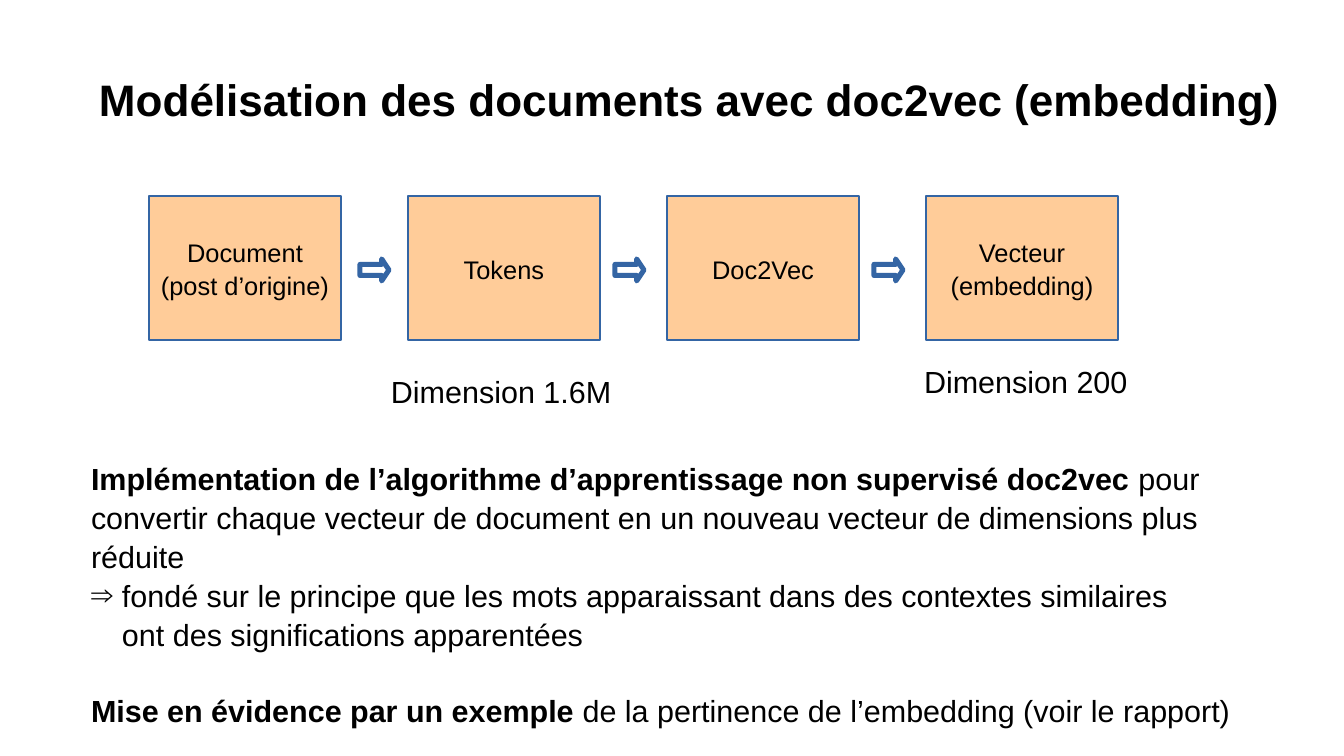
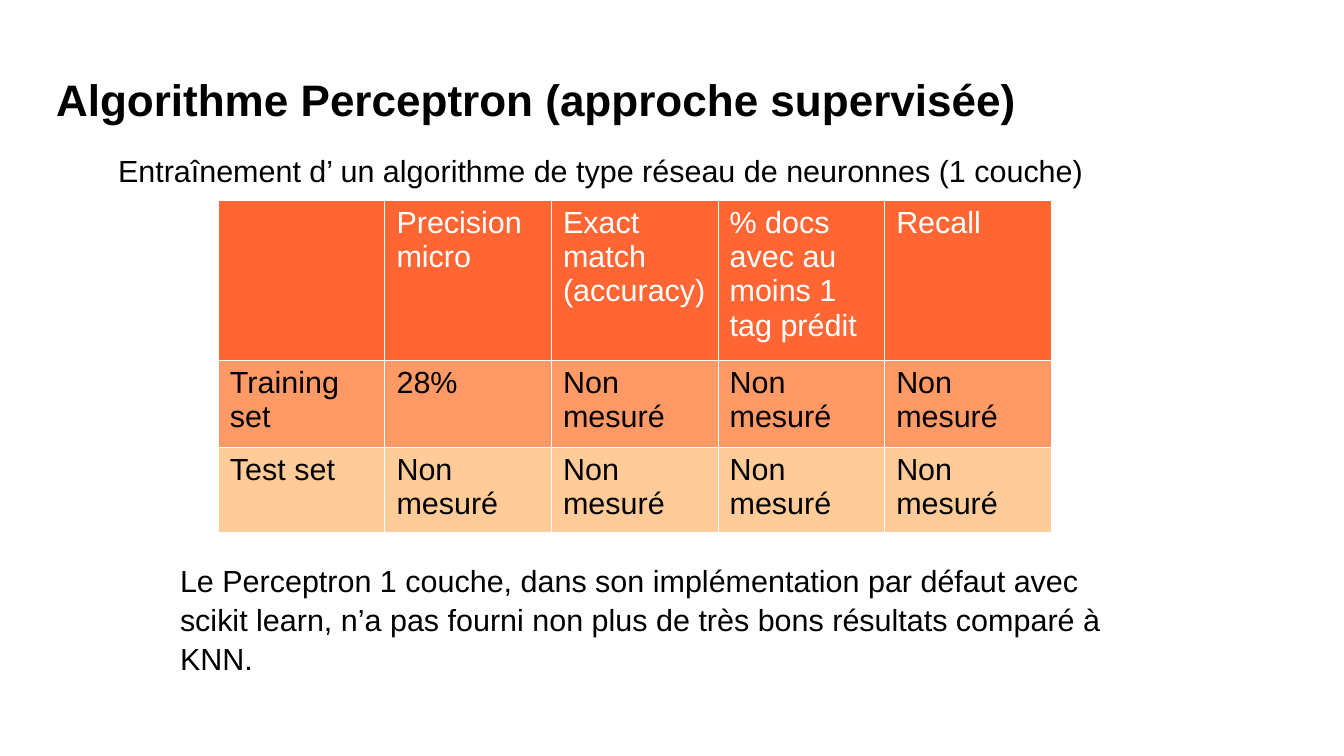
from lxml.etree import SubElement
from pptx import Presentation
from pptx.dml.color import RGBColor
from pptx.enum.shapes import MSO_SHAPE as Preset
from pptx.enum.text import MSO_ANCHOR as Anchor, MSO_AUTO_SIZE as AutoSize, PP_ALIGN as Align
from pptx.oxml.ns import qn
from pptx.util import Emu, Pt

SCALE = 914400 / 122
INK, PAPER, BLUE, PEACH = "000000", "FFFFFF", "3465A4", "FFCC99"

TITLE_TOP, TITLE_HEIGHT = 63, 61
TITLE_FORMAT = {"size": 26, "bold": True}
BODY_FORMAT = {"size": 18}
STEP_FORMAT = {"size": 15}
LEADING = 1.07

EMBEDDING_TITLE = ("Modélisation des documents avec doc2vec (embedding)", 87, 1208)
STEPS = [["Document", "(post d’origine)"], ["Tokens"], ["Doc2Vec"], ["Vecteur", "(embedding)"]]
STEP_LEFT, STEP_TOP, STEP_WIDTH, STEP_HEIGHT, STEP_PITCH = 149, 196, 192, 144, 259
ARROW_LEFTS = [360, 615, 874]
ARROW_WIDTH, ARROW_HEIGHT = 29, 22
DIMENSIONS = [
    ("Dimension 1.6M", (379, 365, 244, 46)),
    ("Dimension 200", (912, 355, 228, 46)),
]
EXPLANATION = [
    {"runs": [("Implémentation de l’algorithme d’apprentissage non supervisé doc2vec ", True),
              ("pour convertir chaque vecteur de document en un nouveau vecteur "
               "de dimensions plus réduite", False)]},
    {"runs": [("fondé sur le principe que les mots apparaissant dans des contextes similaires", False)],
     "indent": 31, "bullet": "⇒"},
    {"runs": [("ont des significations apparentées", False)], "indent": 31},
    {"runs": [("Mise en évidence par un exemple", True),
              (" de la pertinence de l’embedding (voir le rapport)", False)], "before": 21.5},
]
EXPLANATION_AREA = (79, 451, 1194, 268)

PERCEPTRON_TITLE = ("Algorithme Perceptron (approche supervisée)", 44, 986)
TRAINING = "Entraînement d’ un algorithme de type réseau de neuronnes (1 couche)"
TRAINING_AREA = (106, 144, 990, 46)
SCORES = [
    ["", "Precision micro", "Exact match (accuracy)", "% docs avec au moins 1 tag prédit", "Recall"],
    ["Training set", "28%"] + ["Non mesuré"] * 3,
    ["Test set"] + ["Non mesuré"] * 4,
]
SCORE_ROWS = [(160, "FF6633", PAPER), (87, "FF9966", INK), (85, PEACH, INK)]
SCORE_LEFT, SCORE_TOP, SCORE_WIDTH = 218, 200, 833
CONCLUSION = ("Le Perceptron 1 couche, dans son implémentation par défaut avec scikit learn, "
              "n’a pas fourni non plus de très bons résultats comparé à KNN.")
CONCLUSION_AREA = (168, 553, 970, 115)


def px(length):
    return Emu(round(length * SCALE))


def color(code):
    return RGBColor.from_string(code)


def apply(target, values):
    for name, value in values.items():
        setattr(target, name, value)


def place(shape, area):
    apply(shape, dict(zip(("left", "top", "width", "height"), map(px, area))))


def plain(text):
    return {"runs": [(text, False)]}


def write(frame, paragraphs, size, bold=False, ink=INK, align=Align.LEFT,
          anchor=Anchor.TOP, wrap=True, leading=LEADING):
    apply(frame, {"auto_size": AutoSize.NONE, "word_wrap": wrap, "vertical_anchor": anchor,
                  "margin_left": px(12), "margin_right": px(12),
                  "margin_top": px(6), "margin_bottom": px(6)})
    for index, content in enumerate(paragraphs):
        line = frame.paragraphs[0] if index == 0 else frame.add_paragraph()
        apply(line, {"alignment": align, "line_spacing": leading,
                     "space_before": Pt(content.get("before", 0)), "space_after": Pt(0)})
        indent, bullet = content.get("indent", 0), content.get("bullet")
        properties = line._p.get_or_add_pPr()
        properties.set("marL", str(px(indent)))
        properties.set("indent", str(px(-indent if bullet else 0)))
        if bullet:
            SubElement(properties, qn("a:buChar"), char=bullet)
        else:
            SubElement(properties, qn("a:buNone"))
        for text, strong in content["runs"]:
            run = line.add_run()
            run.text = text
            apply(run.font, {"name": "Arial", "size": Pt(size), "bold": bold or strong})
            run.font.color.rgb = color(ink)


def add_titled_slide(deck, title, body, body_area):
    slide = deck.slides.add_slide(deck.slide_layouts[1])
    text, left, width = title
    place(slide.shapes.title, (left, TITLE_TOP, width, TITLE_HEIGHT))
    write(slide.shapes.title.text_frame, [plain(text)], wrap=False, **TITLE_FORMAT)
    place(slide.placeholders[1], body_area)
    write(slide.placeholders[1].text_frame, body, **BODY_FORMAT)
    return slide


def add_label(slide, text, area, wrap):
    label = slide.shapes.add_textbox(*map(px, area))
    write(label.text_frame, [plain(text)], wrap=wrap, **BODY_FORMAT)


def add_outlined(slide, preset, area, fill, weight):
    shape = slide.shapes.add_shape(preset, *map(px, area))
    shape.shadow.inherit = False
    shape.fill.solid()
    shape.fill.fore_color.rgb = color(fill)
    shape.line.color.rgb = color(BLUE)
    shape.line.width = Pt(weight)
    return shape


def border(cell):
    properties = cell._tc.get_or_add_tcPr()
    for index, side in enumerate(("a:lnL", "a:lnR", "a:lnT", "a:lnB")):
        edge = SubElement(properties, qn(side), w=str(Pt(0.06)))
        SubElement(SubElement(edge, qn("a:solidFill")), qn("a:srgbClr"), val=PAPER)
        properties.insert(index, edge)


def build_embedding(deck):
    slide = add_titled_slide(deck, EMBEDDING_TITLE, EXPLANATION, EXPLANATION_AREA)
    for index, lines in enumerate(STEPS):
        area = (STEP_LEFT + index * STEP_PITCH, STEP_TOP, STEP_WIDTH, STEP_HEIGHT)
        step = add_outlined(slide, Preset.RECTANGLE, area, PEACH, 0)
        write(step.text_frame, [plain(text) for text in lines], align=Align.CENTER,
              anchor=Anchor.MIDDLE, wrap=False, **STEP_FORMAT)
    arrow_top = STEP_TOP + (STEP_HEIGHT - ARROW_HEIGHT) / 2 + 2
    for left in ARROW_LEFTS:
        arrow = add_outlined(slide, Preset.RIGHT_ARROW,
                             (left, arrow_top, ARROW_WIDTH, ARROW_HEIGHT), PAPER, 3)
        arrow.adjustments[0], arrow.adjustments[1] = 0.5, 0.33
    for text, area in DIMENSIONS:
        add_label(slide, text, area, False)


def build_perceptron(deck):
    slide = add_titled_slide(deck, PERCEPTRON_TITLE, [plain(CONCLUSION)], CONCLUSION_AREA)
    add_label(slide, TRAINING, TRAINING_AREA, True)
    height = sum(row[0] for row in SCORE_ROWS)
    scores = slide.shapes.add_table(len(SCORES), len(SCORES[0]), *map(
        px, (SCORE_LEFT, SCORE_TOP, SCORE_WIDTH, height))).table
    apply(scores, {"first_row": False, "horz_banding": False})
    for row, texts, (row_height, fill, ink) in zip(scores.rows, SCORES, SCORE_ROWS):
        row.height = px(row_height)
        for cell, text in zip(row.cells, texts):
            apply(cell, {"margin_left": px(12), "margin_right": px(12),
                         "margin_top": px(6), "margin_bottom": px(6)})
            cell.fill.solid()
            cell.fill.fore_color.rgb = color(fill)
            border(cell)
            line = cell.text_frame.paragraphs[0]
            run = line.add_run()
            run.text = text
            apply(run.font, {"name": "Arial", "size": Pt(BODY_FORMAT["size"]), "bold": False})
            run.font.color.rgb = color(ink)


def main():
    deck = Presentation()
    apply(deck, {"slide_width": px(1344), "slide_height": px(756)})
    build_embedding(deck)
    build_perceptron(deck)
    deck.save("out.pptx")


if __name__ == "__main__":
    main()
